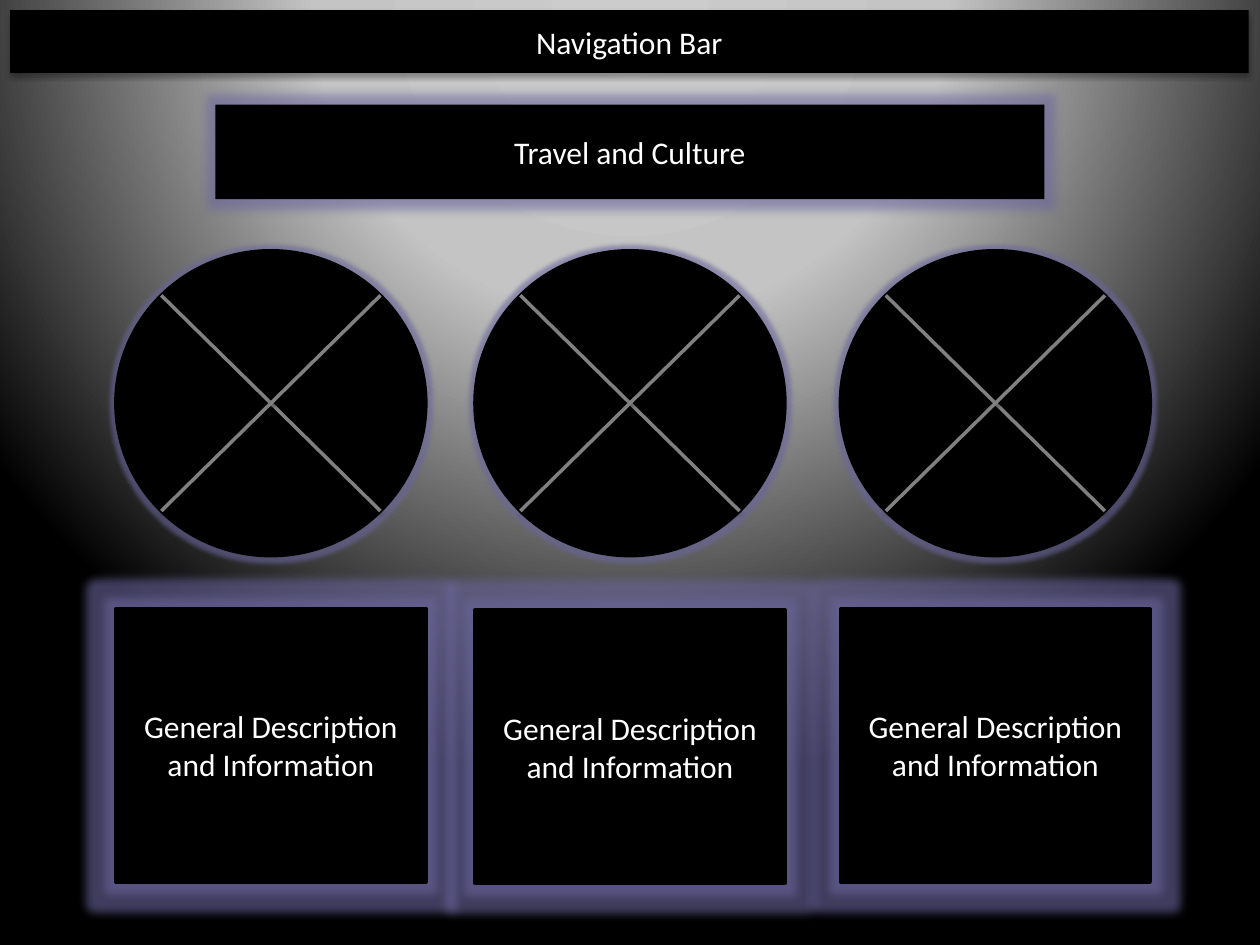
from dataclasses import dataclass
from math import sqrt
from typing import Optional

from lxml.etree import SubElement
from pptx import Presentation
from pptx.dml.color import RGBColor
from pptx.enum.shapes import MSO_CONNECTOR as Connector, MSO_SHAPE as Shape
from pptx.enum.text import MSO_ANCHOR as Anchor, PP_ALIGN as Align
from pptx.oxml import parse_xml
from pptx.oxml.ns import nsdecls, qn
from pptx.util import Inches, Pt


@dataclass(frozen=True)
class Theme:
    panel: str = "000000"
    text: str = "FFFFFF"
    cross: str = "808080"
    glow: str = "69659B"
    glow_alpha: int = 60
    font: str = "Calibri"
    size: int = 18
    line: float = 2
    backdrop: tuple = ((0, "CCCCCC"), (40, "C4C4C4"), (100, "000000"))


@dataclass(frozen=True)
class Area:
    left: float
    top: float
    width: float
    height: float

    def emu(self) -> list:
        return [Inches(v) for v in (self.left, self.top, self.width, self.height)]


@dataclass(frozen=True)
class Effect:
    kind: str
    color: str
    alpha: int
    sizes: dict  # attribute name to points
    direction: Optional[int] = None  # degrees


@dataclass(frozen=True)
class Column:
    left: float
    box_top: float


THEME = Theme()
COLUMN_WIDTH, CIRCLE_TOP, CIRCLE_HEIGHT, BOX_HEIGHT = 2.46, 1.99, 2.42, 2.17
COLUMNS = (Column(0.92, 4.83), Column(3.77, 4.84), Column(6.67, 4.83))
CROSS_INSET = (1 - 1 / sqrt(2)) / 2  # corners of the cross touch the circle


def glow(radius: float) -> Effect:
    return Effect("glow", THEME.glow, THEME.glow_alpha, {"rad": radius})


def drop_shadow(alpha: int, distance: float) -> Effect:
    return Effect("outerShdw", THEME.panel, alpha,
                  {"blurRad": 3.1, "dist": distance}, 90)


def add_effect(shape, effect: Effect) -> None:
    holder = SubElement(shape.element.spPr, qn("a:effectLst"))
    node = SubElement(holder, qn(f"a:{effect.kind}"))
    for name, points in effect.sizes.items():
        node.set(name, str(Pt(points)))
    if effect.direction is not None:
        node.set("dir", str(effect.direction * 60000))
        node.set("rotWithShape", "0")
    color = SubElement(node, qn("a:srgbClr"), val=effect.color)
    SubElement(color, qn("a:alpha"), val=str(effect.alpha * 1000))


def set_line(shape, color: str) -> None:
    shape.line.color.rgb = RGBColor.from_string(color)
    shape.line.width = Pt(THEME.line)


def style_panel(shape, effect: Effect, outlined: bool) -> None:
    shape.fill.solid()
    shape.fill.fore_color.rgb = RGBColor.from_string(THEME.panel)
    if outlined:
        set_line(shape, THEME.panel)
    else:
        shape.line.fill.background()
    add_effect(shape, effect)


def write_text(shape, text: str) -> None:
    frame = shape.text_frame
    frame.word_wrap = True
    frame.vertical_anchor = Anchor.MIDDLE
    para = frame.paragraphs[0]
    para.alignment = Align.CENTER
    span = para.add_run()
    span.text = text
    for name, value in {"name": THEME.font, "size": Pt(THEME.size)}.items():
        setattr(span.font, name, value)
    span.font.color.rgb = RGBColor.from_string(THEME.text)


def paint_background(page) -> None:
    page.background.fill.solid()
    solid = page.element.xpath("p:cSld/p:bg/p:bgPr/a:solidFill")[0]
    stops = "".join(f'<a:gs pos="{at * 1000}"><a:srgbClr val="{color}"/></a:gs>'
                    for at, color in THEME.backdrop)
    gradient = parse_xml(
        f'<a:gradFill {nsdecls("a")} rotWithShape="1"><a:gsLst>{stops}</a:gsLst>'
        '<a:path path="circle"><a:fillToRect l="50000" t="-80000" r="50000" '
        'b="180000"/></a:path></a:gradFill>')
    solid.getparent().replace(solid, gradient)


def add_panel(shapes, kind: Shape, area: Area, effect: Effect,
              text: str = "", outlined: bool = True) -> None:
    panel = shapes.add_shape(kind, *area.emu())
    style_panel(panel, effect, outlined)
    if text:
        write_text(panel, text)


def add_crossed_circle(page, area: Area) -> None:
    group = page.shapes.add_group_shape()
    add_panel(group.shapes, Shape.OVAL, area, glow(5))
    near, far = CROSS_INSET, 1 - CROSS_INSET
    for start, end in ((near, far), (far, near)):
        ends = (area.left + near * area.width, area.top + start * area.height,
                area.left + far * area.width, area.top + end * area.height)
        stroke = group.shapes.add_connector(
            Connector.STRAIGHT, *(Inches(value) for value in ends))
        set_line(stroke, THEME.cross)
        add_effect(stroke, drop_shadow(38, 1.6))


def build() -> None:
    deck = Presentation()
    deck.slide_width, deck.slide_height = Inches(10), Inches(7.5)
    page = deck.slides.add_slide(deck.slide_layouts[5])
    paint_background(page)

    # Title and navigation
    title = page.shapes.title
    title_area = Area(1.71, 0.83, 6.58, 0.75)
    for name, value in zip(("left", "top", "width", "height"), title_area.emu()):
        setattr(title, name, value)
    style_panel(title, glow(11), outlined=False)
    write_text(title, "Travel and Culture")
    add_panel(page.shapes, Shape.RECTANGLE, Area(0.08, 0.08, 9.83, 0.5),
              drop_shadow(35, 1.8), "Navigation Bar", outlined=False)

    # Circles with a description below each
    for column in COLUMNS:
        add_crossed_circle(
            page, Area(column.left, CIRCLE_TOP, COLUMN_WIDTH, CIRCLE_HEIGHT))
    for column in COLUMNS:
        add_panel(page.shapes, Shape.RECTANGLE,
                  Area(column.left, column.box_top, COLUMN_WIDTH, BOX_HEIGHT),
                  glow(11), "General Description and Information")

    deck.save("out.pptx")


build()
